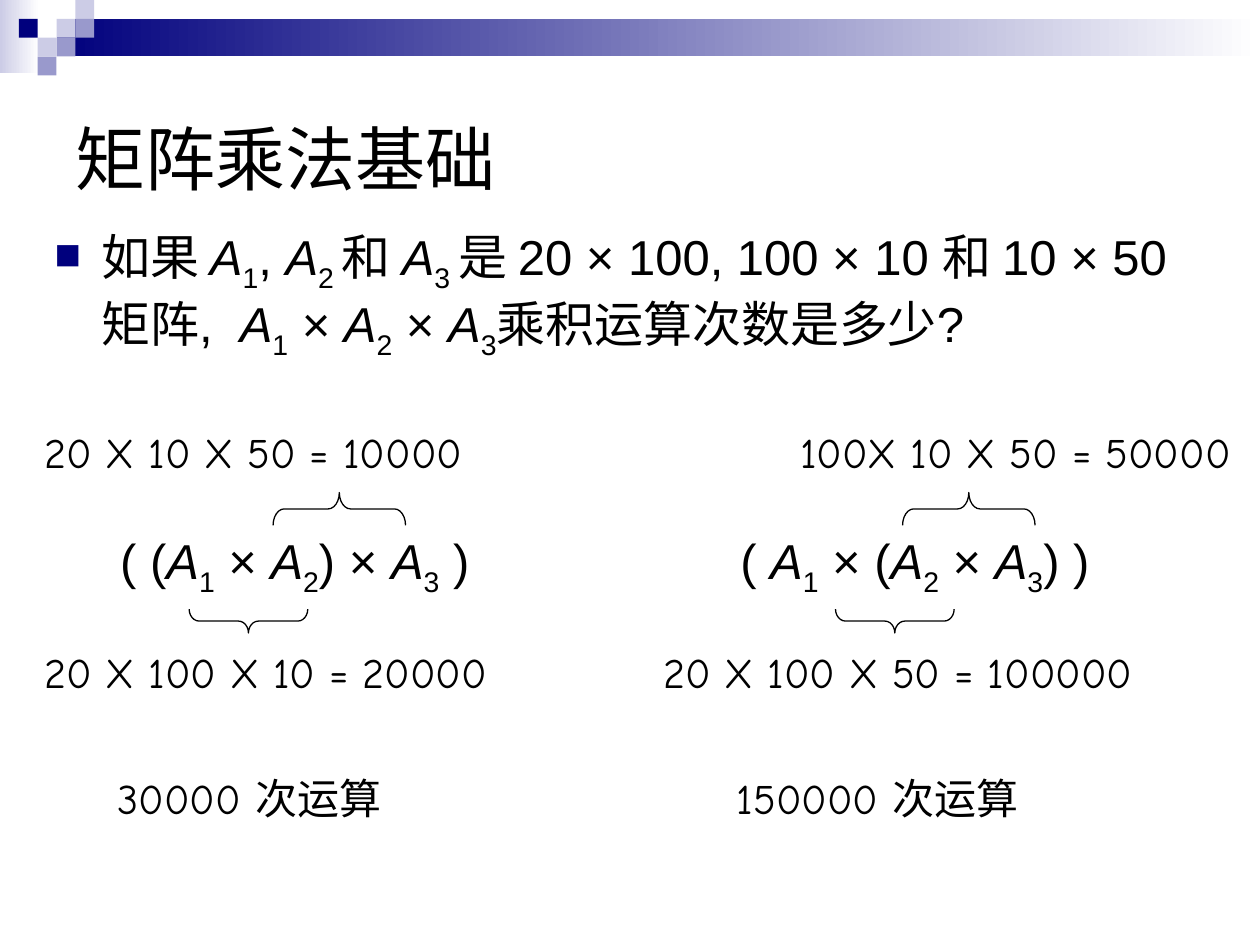
from typing import NamedTuple

from lxml.etree import SubElement
from pptx import Presentation
from pptx.dml.color import RGBColor
from pptx.enum.shapes import MSO_SHAPE
from pptx.enum.text import MSO_ANCHOR, PP_ALIGN
from pptx.oxml.ns import qn
from pptx.util import Cm, Pt

BLACK = RGBColor(0x00, 0x00, 0x00)
WHITE = RGBColor(0xFF, 0xFF, 0xFF)
NAVY = RGBColor(0x00, 0x00, 0x7D)
LAVENDER = RGBColor(0xCC, 0xCC, 0xE6)
PERIWINKLE = RGBColor(0x99, 0x99, 0xCC)

TILE = 0.38  # side of a header tile, cm


class Box(NamedTuple):
    left: float
    top: float
    width: float
    height: float


class Tile(NamedTuple):
    column: int
    row: int
    color: RGBColor


class Label(NamedTuple):
    text: str
    box: Box
    size: int = 24
    font: str = "Comic Neue"
    wrap: bool = True


class Brace(NamedTuple):
    """A horizontal brace; center and extents are as seen on the slide."""
    center_x: float
    center_y: float
    length: float
    depth: float
    rotation: int
    curvature: float


TILES = [
    Tile(3, 1, LAVENDER),
    Tile(4, 0, LAVENDER),
    Tile(4, 1, PERIWINKLE),
    Tile(2, 2, LAVENDER),
    Tile(1, 1, NAVY),
    Tile(3, 2, PERIWINKLE),
    Tile(2, 3, PERIWINKLE),
]

# Matrix names are written A{index}; the braces hold the subscript.
QUESTION = Label(
    "如果 A{1}, A{2 }和 A{3 }是 20 × 100, 100 × 10 和 10 × 50 矩阵,  "
    "A{1} × A{2} × A{3}乘积运算次数是多少?",
    Box(0.84, 4.45, 23.29, 2.74), 28, "Arial")

LABELS = [
    Label(" ( (A{1} × A{2}) × A{3} )", Box(1.9, 10.58, 8.05, 1.45), 28, "Arial", False),
    Label("20 X 10 X 50 = 10000", Box(0.64, 8.47, 10.16, 1.3)),
    Label("20 X 100 X 10 = 20000", Box(0.64, 12.91, 11, 1.3)),
    Label("30000 次运算", Box(2.12, 15.45, 7, 1.3)),
    Label(" ( A{1} × (A{2} × A{3}) )", Box(14.4, 10.58, 7.87, 1.45), 28, "Arial", False),
    Label("100X 10 X 50 = 50000", Box(15.88, 8.47, 9.52, 1.3)),
    Label("20 X 100 X 50 = 100000", Box(13.12, 12.91, 12.28, 1.3)),
    Label("150000 次运算", Box(14.6, 15.45, 7, 1.3)),
]

BRACES = [
    Brace(6.84, 10.26, 2.67, 0.66, 90, 0.34),
    Brace(5.01, 12.52, 2.39, 0.48, 270, 0.42),
    Brace(19.53, 10.26, 2.67, 0.66, 90, 0.34),
    Brace(18.04, 12.52, 2.39, 0.48, 270, 0.42),
]


def lengths(box: Box) -> list[Cm]:
    return [Cm(value) for value in box]


def add_rectangle(slide, box: Box, color: RGBColor, fade: bool = False) -> None:
    """Add a borderless rectangle, optionally fading to white on the right."""
    shape = slide.shapes.add_shape(MSO_SHAPE.RECTANGLE, *lengths(box))
    shape.shadow.inherit = False
    shape.line.fill.background()
    if fade:
        shape.fill.gradient()
        shape.fill.gradient_angle = 0
        for stop, stop_color, position in zip(
                shape.fill.gradient_stops, (color, WHITE), (0, 1)):
            stop.color.rgb = stop_color
            stop.position = position
    else:
        shape.fill.solid()
        shape.fill.fore_color.rgb = color


def add_header(slide) -> None:
    add_rectangle(slide, Box(0, 0, 0.79, 1.47), LAVENDER, fade=True)
    add_rectangle(slide, Box(3 * TILE, TILE, 24.26, 2 * TILE), NAVY, fade=True)
    for tile in TILES:
        box = Box(tile.column * TILE, tile.row * TILE, TILE, TILE)
        add_rectangle(slide, box, tile.color)


def add_matrix_runs(paragraph, text: str) -> None:
    """Split text at its matrix names: italic A, lowered index, plain rest."""
    opening, *pieces = text.split("A{")
    paragraph.add_run().text = opening
    for piece in pieces:
        index, _, rest = piece.partition("}")
        name = paragraph.add_run()
        name.text = "A"
        name.font.italic = True
        subscript = paragraph.add_run()
        subscript.text = index
        subscript.font._element.set("baseline", "-25000")
        if rest:
            paragraph.add_run().text = rest


def add_label(slide, label: Label):
    text_box = slide.shapes.add_textbox(*lengths(label.box))
    text_box.text_frame.word_wrap = label.wrap
    paragraph = text_box.text_frame.paragraphs[0]
    paragraph.font.size = Pt(label.size)
    paragraph.font.name = label.font
    paragraph.font.color.rgb = BLACK
    add_matrix_runs(paragraph, label.text)
    return paragraph


def add_square_bullet(paragraph) -> None:
    properties = paragraph._p.get_or_add_pPr()
    properties.set("marL", str(Cm(0.95)))
    properties.set("indent", str(-Cm(0.95)))
    bullet_parts = [
        SubElement(properties, qn("a:buClr")),
        SubElement(properties, qn("a:buSzPct"), val="75000"),
        SubElement(properties, qn("a:buChar"), char="■"),
    ]
    SubElement(bullet_parts[0], qn("a:srgbClr"), val=str(NAVY))
    default_font = properties.find(qn("a:defRPr"))
    for part in bullet_parts:
        default_font.addprevious(part)


def add_brace(slide, brace: Brace) -> None:
    box = Box(brace.center_x - brace.depth / 2, brace.center_y - brace.length / 2,
              brace.depth, brace.length)
    shape = slide.shapes.add_shape(MSO_SHAPE.LEFT_BRACE, *lengths(box))
    shape.rotation = brace.rotation
    shape.adjustments[0] = brace.curvature
    shape.shadow.inherit = False
    shape.fill.background()
    shape.line.color.rgb = BLACK
    shape.line.width = Pt(0.75)


def set_title(slide, text: str) -> None:
    title = slide.shapes.title
    title.left, title.top, title.width, title.height = lengths(Box(1.27, 1.27, 22.86, 3.81))
    title.text_frame.text = text
    title.text_frame.vertical_anchor = MSO_ANCHOR.MIDDLE
    paragraph = title.text_frame.paragraphs[0]
    paragraph.alignment = PP_ALIGN.LEFT
    paragraph.font.size = Pt(40)
    paragraph.font.name = "Arial"
    paragraph.font.color.rgb = BLACK


def main() -> None:
    presentation = Presentation()
    presentation.slide_width, presentation.slide_height = Cm(25.4), Cm(19.05)
    slide = presentation.slides.add_slide(presentation.slide_layouts[5])
    add_header(slide)
    set_title(slide, "矩阵乘法基础")
    question = add_label(slide, QUESTION)
    question.space_before = Pt(5.6)
    add_square_bullet(question)
    for label in LABELS:
        add_label(slide, label)
    for brace in BRACES:
        add_brace(slide, brace)
    presentation.save("out.pptx")


if __name__ == "__main__":
    main()
